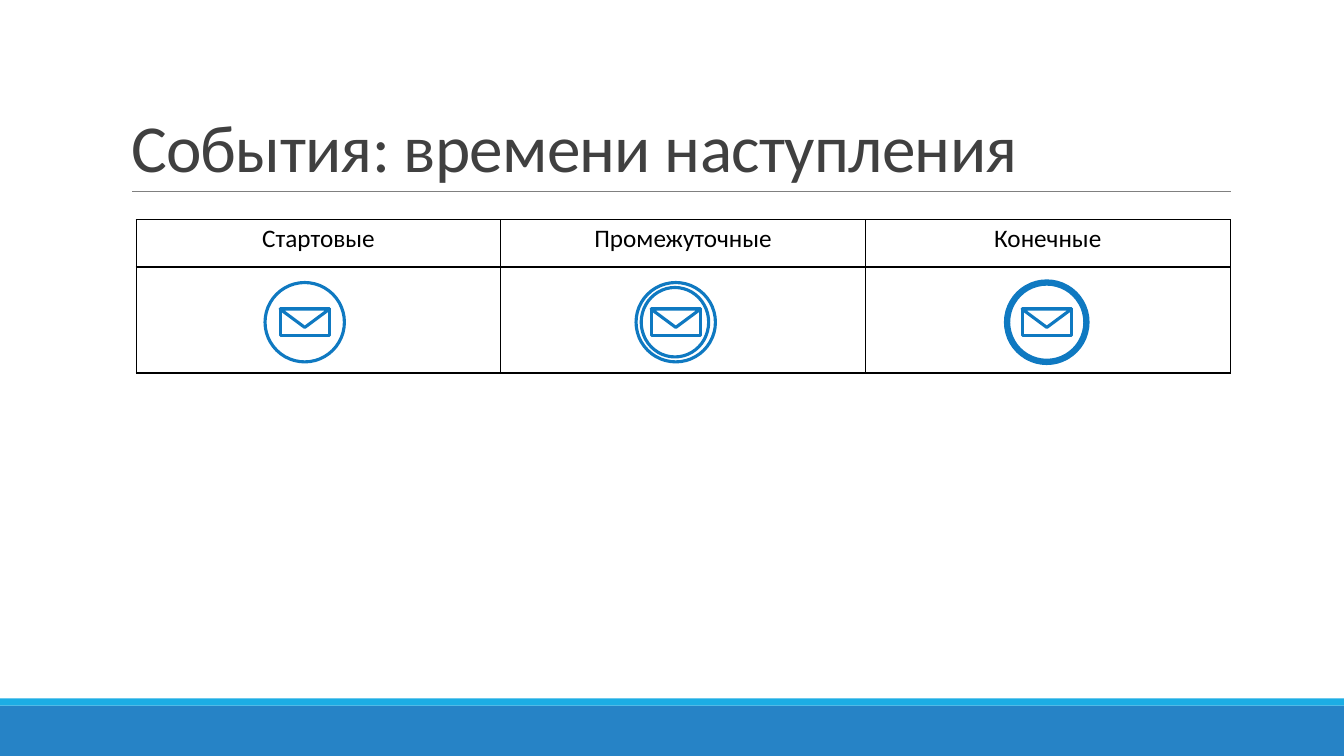
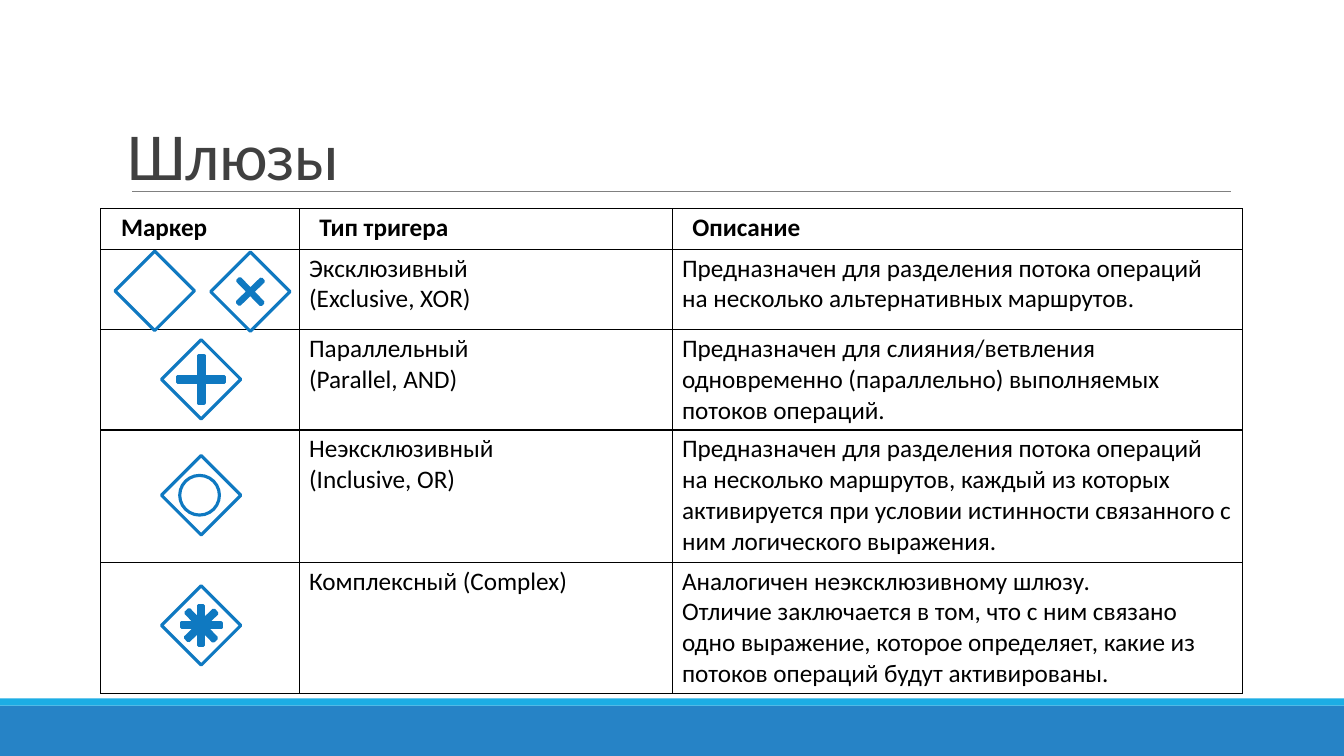
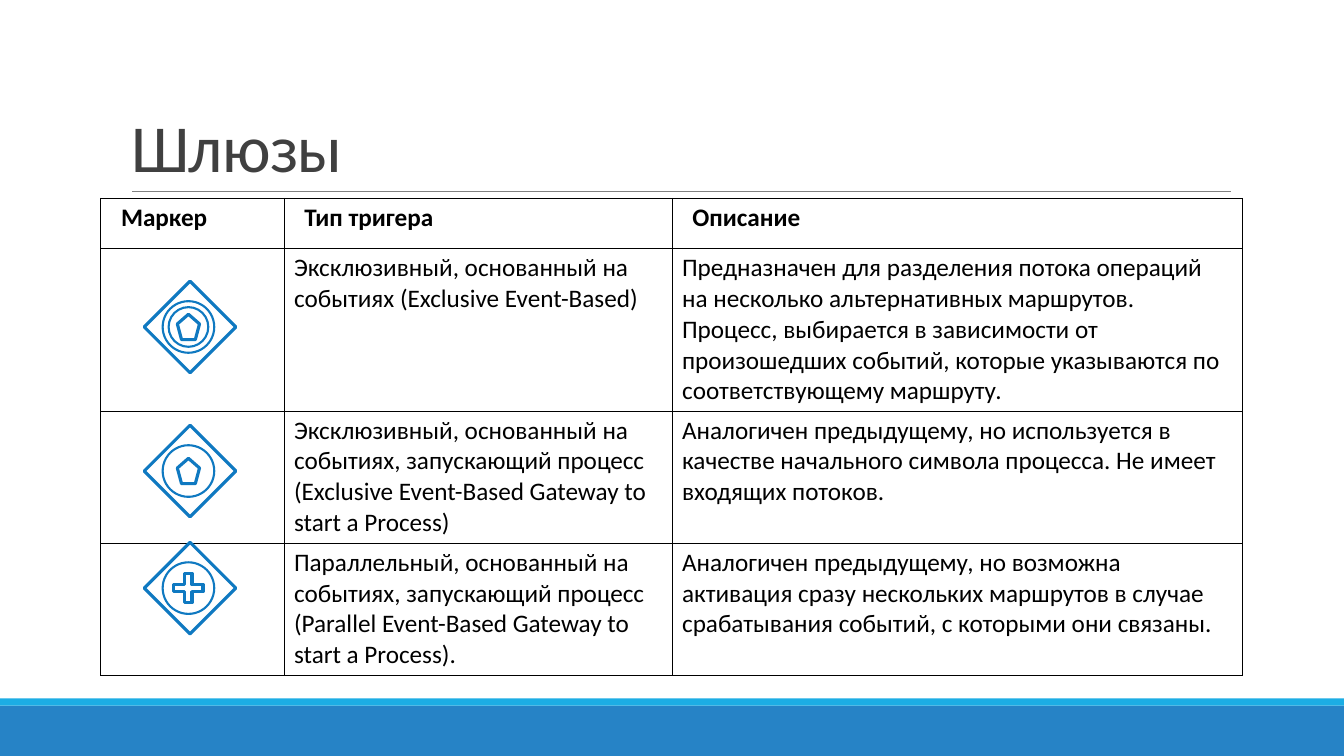
from pptx import Presentation
from pptx.dml.color import RGBColor
from pptx.enum.shapes import MSO_CONNECTOR, MSO_SHAPE
from pptx.enum.text import MSO_ANCHOR, MSO_AUTO_SIZE, PP_ALIGN
from pptx.oxml.ns import qn
from pptx.util import Cm, Pt
from lxml.etree import SubElement

INK = "0F79C1"
BLACK = "000000"
HEAD = ["Маркер", "Тип тригера", "Описание"]


def tint(code):
    return RGBColor.from_string(code)


class Deck:
    font = "Calibri"
    wide, high = 33.87, 19.05
    bands = [(17.78, 1.27, "2683C6"), (17.6, 0.18, "1CADE4")]

    def __init__(self):
        self.file = Presentation()
        self.file.slide_width = Cm(self.wide)
        self.file.slide_height = Cm(self.high)

    def style(self, para, size, color, bold=False):
        for run in para.runs:
            run.font.name = self.font
            run.font.size = Pt(size)
            run.font.bold = bold
            run.font.color.rgb = tint(color)

    def page(self, text, left=3.05, top=0.79):
        self.slide = self.file.slides.add_slide(self.file.slide_layouts[5])
        for y, h, color in self.bands:
            self.band(y, h, color)
        self.rule(3.33, 31.01, 4.83)
        self.title(text, left, top)

    def band(self, y, h, color):
        band = self.slide.shapes.add_shape(
            MSO_SHAPE.RECTANGLE, 0, Cm(y), Cm(self.wide), Cm(h))
        band.shadow.inherit = False
        band.fill.solid()
        band.fill.fore_color.rgb = tint(color)
        band.line.fill.background()

    def rule(self, start, end, y):
        rule = self.slide.shapes.add_connector(
            MSO_CONNECTOR.STRAIGHT, Cm(start), Cm(y), Cm(end), Cm(y))
        rule.line.color.rgb = tint("808080")
        rule.line.width = Pt(0.5)
        SubElement(rule._element.spPr, qn("a:effectLst"))

    def title(self, text, left, top):
        title = self.slide.shapes.title
        title.left, title.top = Cm(left), Cm(top)
        title.width, title.height = Cm(27.94), Cm(4.04)
        frame = title.text_frame
        frame.text = text
        frame.word_wrap = True
        frame.auto_size = MSO_AUTO_SIZE.NONE
        frame.vertical_anchor = MSO_ANCHOR.BOTTOM
        para = frame.paragraphs[0]
        para.alignment = PP_ALIGN.LEFT
        para.line_spacing = 0.85
        self.style(para, 48, "404040")
        for run in para.runs:
            run.font._element.set("spc", "-50")

    def table(self, left, top, cols, rows, data, center=False):
        table = self.slide.shapes.add_table(
            len(rows), len(cols), Cm(left), Cm(top),
            Cm(sum(cols)), Cm(sum(rows))).table
        table.first_row = table.horz_banding = False
        for col, size in zip(table.columns, cols):
            col.width = Cm(size)
        for row, size in zip(table.rows, rows):
            row.height = Cm(size)
        for i, line in enumerate(data):
            for j, text in enumerate(line):
                self.cell(table.cell(i, j), text, i == 0, center)

    def cell(self, cell, text, head, center):
        self.frame(cell)
        cell.margin_left = Cm(0.51 if head and not center else 0.25)
        cell.margin_right = Cm(0.25)
        cell.margin_top = cell.margin_bottom = Cm(0.1)
        cell.text_frame.text = text
        for para in cell.text_frame.paragraphs:
            para.alignment = PP_ALIGN.CENTER if center else PP_ALIGN.LEFT
            self.style(para, 18, BLACK, head and not center)

    def frame(self, cell):
        props = cell._tc.get_or_add_tcPr()
        for side in "LRTB":
            edge = SubElement(props, qn(f"a:ln{side}"), w=str(Pt(1)))
            fill = SubElement(edge, qn("a:solidFill"))
            SubElement(fill, qn("a:srgbClr"), val=BLACK)
        cell.fill.background()

    def icon(self, x, y):
        self.group = self.slide.shapes.add_group_shape()
        self.x, self.y = x, y

    def mark(self, kind, w, h=None, dx=0, dy=0, pen=2.25, turn=0,
             adj=None, full=False):
        h = h or w
        mark = self.group.shapes.add_shape(
            kind, Cm(self.x + dx - w / 2), Cm(self.y + dy - h / 2),
            Cm(w), Cm(h))
        mark.shadow.inherit = False
        mark.rotation = turn
        if adj is not None:
            mark.adjustments[0] = adj
        if full:
            mark.fill.solid()
            mark.fill.fore_color.rgb = tint(INK)
        else:
            mark.fill.background()
        mark.line.color.rgb = tint(INK)
        mark.line.width = Pt(pen)

    def gate(self, x, y, size=2):
        self.icon(x, y)
        self.mark(MSO_SHAPE.DIAMOND, size)

    def plus(self, size, turn=0, adj=0.44):
        self.mark(MSO_SHAPE.CROSS, size, turn=turn, adj=adj, full=True)

    def ring(self, size, pen=1.5):
        self.mark(MSO_SHAPE.OVAL, size, dx=-0.04, pen=pen)

    def event(self, x, y, pen=2.25, double=False):
        self.icon(x, y)
        self.mark(MSO_SHAPE.OVAL, 2, pen=pen)
        if double:
            self.mark(MSO_SHAPE.OVAL, 1.7, 1.75, dx=-0.02)
        self.mark(MSO_SHAPE.RECTANGLE, 1.24, 0.69)
        self.mark(MSO_SHAPE.ISOSCELES_TRIANGLE, 1.24, 0.46, dy=-0.1, turn=180)


def events(deck):
    deck.page("События: времени наступления")
    deck.table(3.43, 5.54, [9.19] * 3, [1.19, 2.67],
               [["Стартовые", "Промежуточные", "Конечные"], [""] * 3],
               center=True)
    looks = [{}, {"double": True}, {"pen": 4.5}]
    for i, look in enumerate(looks):
        deck.event(7.68 + 9.35 * i, 8.12, **look)


def basic(deck):
    deck.page("Шлюзы", 2.97, 0.99)
    deck.table(2.54, 5.26, [5, 9.4, 14.38], [1.02, 2.03, 2.52, 3.33, 3.3], [
        HEAD,
        ["", "Эксклюзивный\n(Exclusive, XOR)",
         "Предназначен для разделения потока операций на несколько "
         "альтернативных маршрутов."],
        ["", "Параллельный\n(Parallel, AND)",
         "Предназначен для слияния/ветвления одновременно (параллельно) "
         "выполняемых потоков операций."],
        ["", "Неэксклюзивный\n(Inclusive, OR)",
         "Предназначен для разделения потока операций на несколько "
         "маршрутов, каждый из которых активируется при условии "
         "истинности связанного с ним логического выражения."],
        ["", "Комплексный (Complex)",
         "Аналогичен неэксклюзивному шлюзу.\n"
         "Отличие заключается в том, что с ним связано одно выражение, "
         "которое определяет, какие из потоков операций будут "
         "активированы."],
    ])
    deck.gate(3.9, 7.33)
    deck.gate(6.31, 7.35)
    deck.plus(0.84, 46, 0.45)
    deck.gate(5.07, 9.56)
    deck.plus(1.19)
    deck.gate(5.07, 12.48)
    deck.ring(1, 2.25)
    deck.gate(5.07, 15.76)
    for turn in (0, 46):
        deck.plus(1, turn)


def timed(deck):
    deck.page("Шлюзы")
    deck.table(2.54, 5, [4.62, 9.78, 14.38], [1.27, 4.09, 3.33, 3.33], [
        HEAD,
        ["", "Эксклюзивный, основанный на событиях (Exclusive Event-Based)",
         "Предназначен для разделения потока операций на несколько "
         "альтернативных маршрутов. Процесс, выбирается в зависимости от "
         "произошедших событий, которые указываются по соответствующему "
         "маршруту."],
        ["", "Эксклюзивный, основанный на событиях, запускающий процесс\n"
         "(Exclusive Event-Based Gateway to start a Process)",
         "Аналогичен предыдущему, но используется в качестве начального "
         "символа процесса. Не имеет входящих потоков."],
        ["", "Параллельный, основанный на событиях, запускающий процесс "
         "(Parallel Event-Based Gateway to start a Process).",
         "Аналогичен предыдущему, но возможна активация сразу нескольких "
         "маршрутов в случае срабатывания событий, с которыми они связаны."],
    ])
    five = (MSO_SHAPE.REGULAR_PENTAGON, 0.56, 0.64)
    cross = (MSO_SHAPE.MATH_PLUS, 1, 1)
    signs = [(8.24, five, None, [1, 1.3]), (11.87, five, None, [1.3]),
             (14.82, cross, 0.18, [1.3])]
    for y, sign, adj, rings in signs:
        deck.gate(4.79, y, 2.31)
        deck.mark(*sign, dx=-0.04, adj=adj)
        for size in rings:
            deck.ring(size)


def main():
    deck = Deck()
    for build in (events, basic, timed):
        build(deck)
    deck.file.save("out.pptx")


if __name__ == "__main__":
    main()
